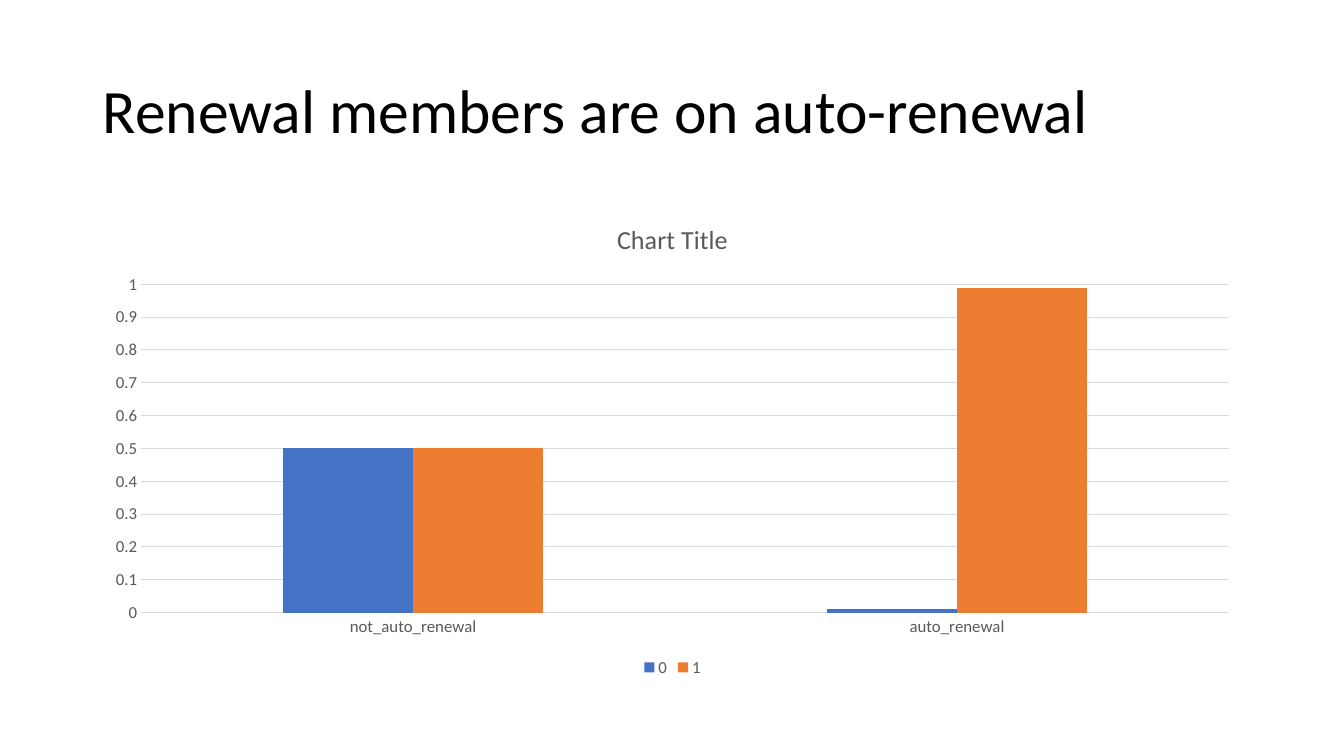
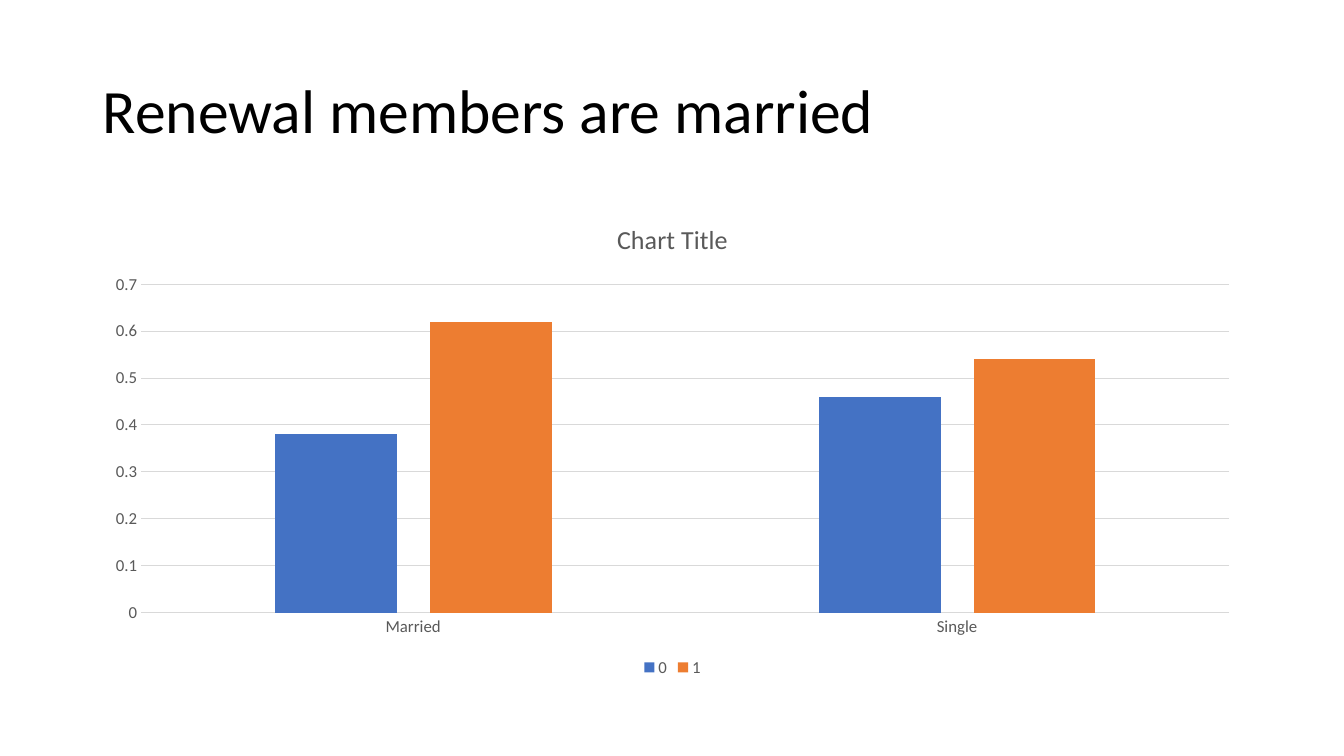
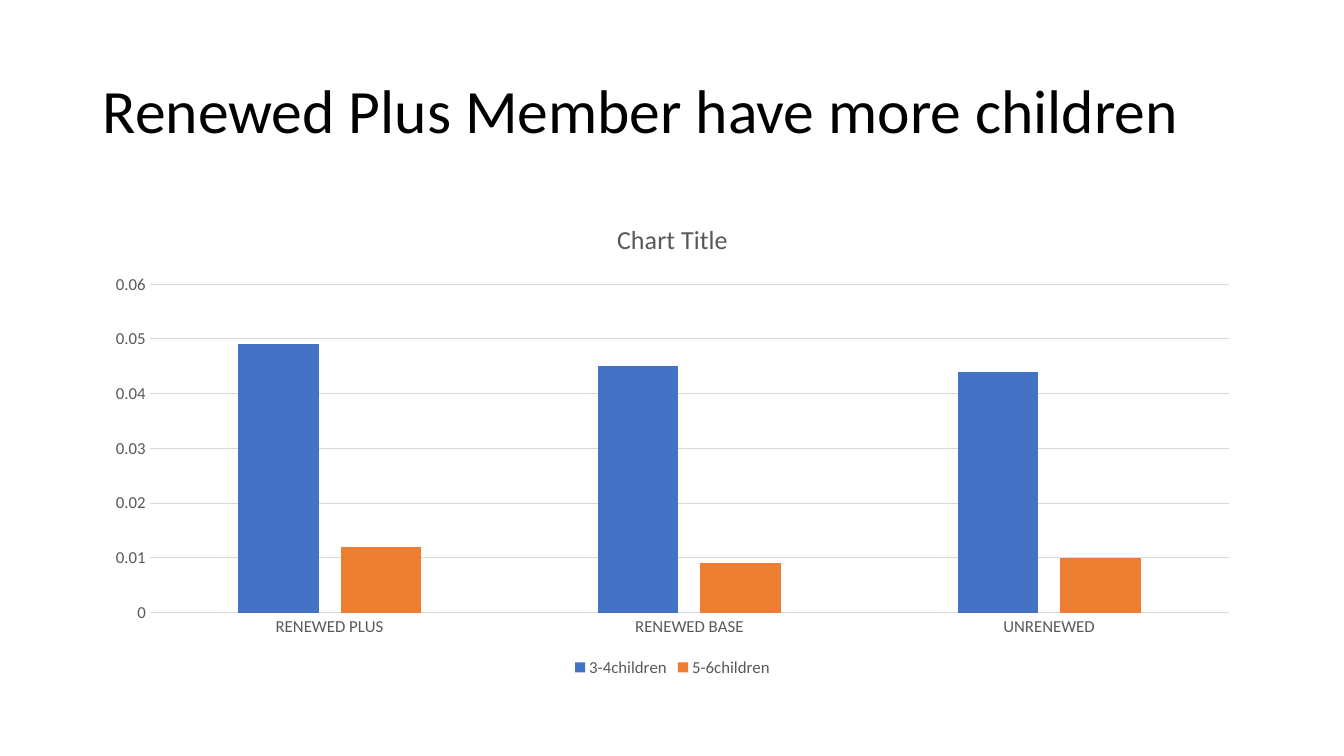
from pptx import Presentation
from pptx.chart.data import CategoryChartData
from pptx.dml.color import RGBColor
from pptx.enum import chart as ch, text
from pptx.util import Inches, Pt

# Content: title, categories, series, bar overlap, axis maximum (None = automatic)
SLIDES = [
    ("Renewal members are on auto-renewal",
     ["not_auto_renewal", "auto_renewal"],
     {"0": (0.5, 0.01), "1": (0.5, 0.99)}, 0, 1),
    ("Renewal members are married",
     ["Married", "Single"],
     {"0": (0.38, 0.46), "1": (0.62, 0.54)}, -27, None),
    ("Renewed Plus Member have more children",
     ["RENEWED PLUS", "RENEWED BASE", "UNRENEWED"],
     {"3-4children": (0.049, 0.045, 0.044),
      "5-6children": (0.012, 0.009, 0.01)}, -27, None),
]
CHART_TITLE = "Chart Title"

# Shared style
FONT = "Calibri"
BLACK = RGBColor(0x00, 0x00, 0x00)
GREY = RGBColor(0x59, 0x59, 0x59)
LIGHT = RGBColor(0xD9, 0xD9, 0xD9)
BLUE = RGBColor(0x44, 0x72, 0xC4)
ORANGE = RGBColor(0xED, 0x7D, 0x31)
LEFT, WIDTH = Inches(0.92), Inches(11.5)


def style_font(font, size, color):
    font.name, font.size, font.bold = FONT, Pt(size), False
    font.color.rgb = color


def style_line(line):
    line.color.rgb = LIGHT
    line.width = Pt(0.75)


def add_title(s, title):
    tf = s.shapes.add_textbox(LEFT, Inches(0.4), WIDTH, Inches(1.45)).text_frame
    tf.word_wrap = True
    tf.vertical_anchor = text.MSO_ANCHOR.MIDDLE
    p = tf.paragraphs[0]
    p.line_spacing = 0.9
    r = p.add_run()
    r.text = title
    style_font(r.font, 44, BLACK)


def add_columns(s, categories, series, overlap, maximum):
    data = CategoryChartData()
    data.categories = categories
    for name, values in series.items():
        data.add_series(name, values)
    chart = s.shapes.add_chart(ch.XL_CHART_TYPE.COLUMN_CLUSTERED, LEFT, Inches(2),
                               WIDTH, Inches(4.76), data).chart
    style_font(chart.font, 10, BLACK)

    # Chart title and legend
    chart.has_title = True
    r = chart.chart_title.text_frame.paragraphs[0].add_run()
    r.text = CHART_TITLE
    style_font(r.font, 18.6, GREY)
    chart.has_legend = True
    chart.legend.position = ch.XL_LEGEND_POSITION.BOTTOM
    chart.legend.include_in_layout = False
    style_font(chart.legend.font, 12, GREY)

    # Axes
    for axis in (chart.category_axis, chart.value_axis):
        axis.major_tick_mark = axis.minor_tick_mark = ch.XL_TICK_MARK.NONE
        style_font(axis.tick_labels.font, 12, GREY)
    style_line(chart.category_axis.format.line)
    chart.value_axis.format.line.fill.background()
    chart.value_axis.has_major_gridlines = True
    style_line(chart.value_axis.major_gridlines.format.line)
    if maximum is not None:
        chart.value_axis.maximum_scale = maximum

    # Bars
    plot = chart.plots[0]
    plot.vary_by_categories = False
    plot.gap_width, plot.overlap = 219, overlap
    for bars, color in zip(plot.series, (BLUE, ORANGE)):
        bars.format.fill.solid()
        bars.format.fill.fore_color.rgb = color


prs = Presentation()
prs.slide_width, prs.slide_height = Inches(13.33), Inches(7.5)
for title, *chart_parts in SLIDES:
    s = prs.slides.add_slide(prs.slide_layouts[6])
    add_title(s, title)
    add_columns(s, *chart_parts)
prs.save("out.pptx")
